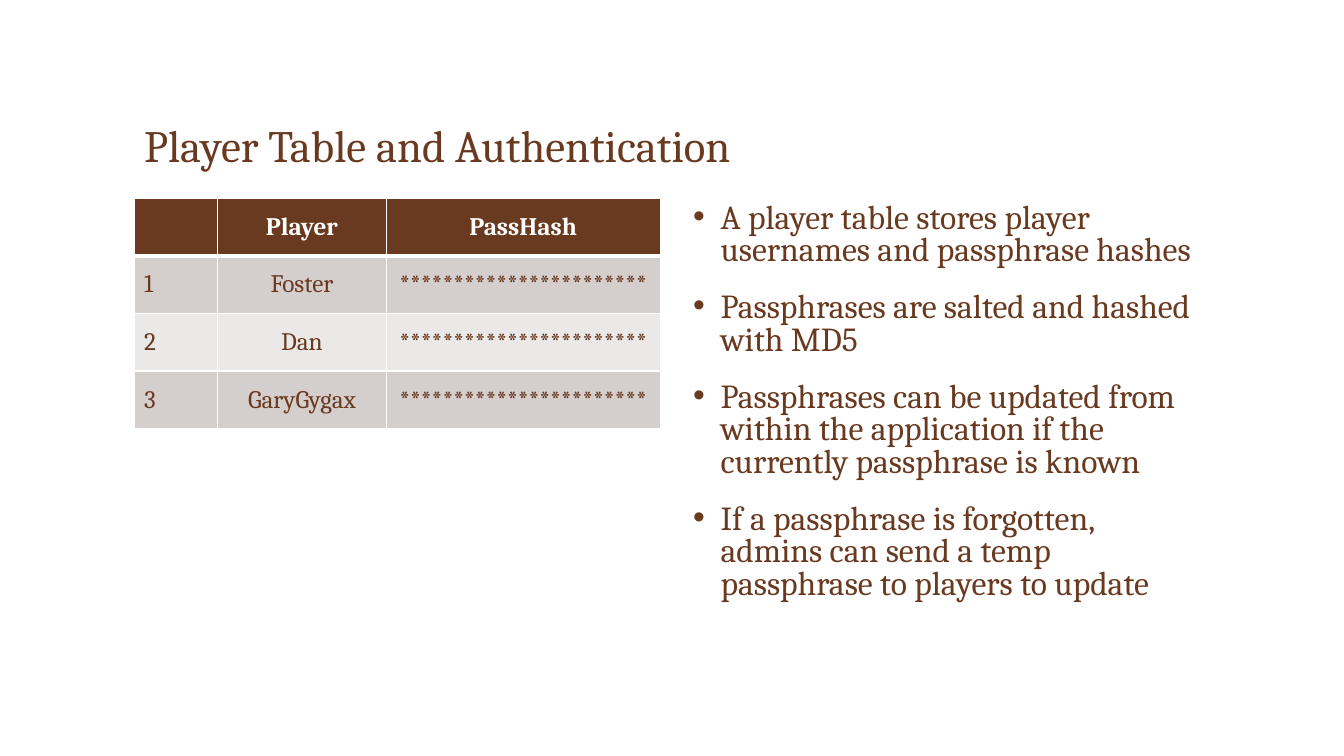
from dataclasses import dataclass
from typing import Any

import lxml.etree
import pptx
import pptx.dml.color
import pptx.enum.text
import pptx.oxml
import pptx.oxml.ns
import pptx.util

Cm, Pt = pptx.util.Cm, pptx.util.Pt
RGB = pptx.dml.color.RGBColor
ALIGN, ANCHOR = pptx.enum.text.PP_ALIGN, pptx.enum.text.MSO_ANCHOR
qn = pptx.oxml.ns.qn


@dataclass(frozen=True)
class Theme:
    font: str = "Cambria"
    brown: str = "6A3A20"
    white: str = "FFFFFF"
    bands: tuple[str, str] = ("D4CECD", "EBE8E8")
    title_size: int = 32
    body_size: int = 24
    table_size: int = 18


@dataclass(frozen=True)
class Box:
    left: float
    top: float
    width: float
    height: float

    def lengths(self) -> tuple[int, int, int, int]:
        return Cm(self.left), Cm(self.top), Cm(self.width), Cm(self.height)


@dataclass(frozen=True)
class Player:
    number: str
    name: str
    pass_hash: str = "*" * 23


THEME = Theme()
TITLE_BOX = Box(3.38, 1.19, 27.08, 3.25)
TABLE_BOX = Box(3.38, 5.0, 13.26, 5.8)
BULLET_BOX = Box(17.22, 5.0, 13.26, 11.86)
COLUMN_WIDTHS = (2.11, 4.24, 6.91)
HEADER = ("", "Player", "PassHash")
PLAYERS = (Player("1", "Foster"), Player("2", "Dan"), Player("3", "GaryGygax"))
BULLETS = (
    "A player table stores player usernames and passphrase hashes",
    "Passphrases are salted and hashed with MD5",
    "Passphrases can be updated from within the application if the currently passphrase is known",
    "If a passphrase is forgotten, admins can send a temp passphrase to players to update",
)


def format_runs(p: Any, size: int, color: str, bold: bool = False) -> None:
    for r in p.runs:
        r.font.name = THEME.font
        r.font.size = Pt(size)
        r.font.bold = bold
        r.font.color.rgb = RGB.from_string(color)


def add_title(s: Any, text: str) -> None:
    sp = s.shapes.title
    sp.left, sp.top, sp.width, sp.height = TITLE_BOX.lengths()
    tf = sp.text_frame
    tf.text = text
    tf.vertical_anchor = ANCHOR.BOTTOM
    p = tf.paragraphs[0]
    p.alignment = ALIGN.LEFT
    format_runs(p, THEME.title_size, THEME.brown)


def set_borders(cell: Any, bottom: int, top: int) -> None:
    tc_pr = cell._tc.get_or_add_tcPr()
    widths = {"lnL": 1, "lnR": 1, "lnT": top, "lnB": bottom}
    for i, (side, width) in enumerate(widths.items()):
        ln = lxml.etree.Element(qn(f"a:{side}"), w=str(Pt(width)))
        fill = lxml.etree.SubElement(ln, qn("a:solidFill"))
        lxml.etree.SubElement(fill, qn("a:srgbClr"), val=THEME.white)
        tc_pr.insert(i, ln)


def add_player_table(s: Any) -> None:
    rows = [HEADER] + [(x.number, x.name, x.pass_hash) for x in PLAYERS]
    table = s.shapes.add_table(len(rows), len(HEADER), *TABLE_BOX.lengths()).table
    for column, width in zip(table.columns, COLUMN_WIDTHS):
        column.width = Cm(width)
    for i, values in enumerate(rows):
        header = i == 0
        fill = THEME.brown if header else THEME.bands[(i - 1) % 2]
        for j, value in enumerate(values):
            cell = table.cell(i, j)
            cell.text = value
            cell.vertical_anchor = ANCHOR.MIDDLE
            cell.fill.solid()
            cell.fill.fore_color.rgb = RGB.from_string(fill)
            p = cell.text_frame.paragraphs[0]
            p.alignment = ALIGN.CENTER if j else ALIGN.LEFT
            format_runs(p, THEME.table_size, THEME.white if header else THEME.brown, header)
            set_borders(cell, bottom=3 if header else 1, top=3 if i == 1 else 1)


def add_bullet(p: Any) -> None:
    p_pr = p._p.get_or_add_pPr()
    indent = Cm(0.69)
    p_pr.set("marL", str(indent))
    p_pr.set("indent", str(-indent))
    color = lxml.etree.SubElement(p_pr, qn("a:buClr"))
    lxml.etree.SubElement(color, qn("a:srgbClr"), val=THEME.brown)
    lxml.etree.SubElement(p_pr, qn("a:buFont"), typeface="Arial")
    lxml.etree.SubElement(p_pr, qn("a:buChar"), char="•")


def add_bullets(s: Any) -> None:
    tf = s.shapes.add_textbox(*BULLET_BOX.lengths()).text_frame
    tf.word_wrap = True
    tf.text = "\n".join(BULLETS)
    for p in tf.paragraphs:
        p.line_spacing = 0.8
        p.space_before = Pt(18)
        add_bullet(p)
        format_runs(p, THEME.body_size, THEME.brown)


def main() -> None:
    prs = pptx.Presentation()
    prs.slide_width, prs.slide_height = Cm(33.87), Cm(19.05)
    s = prs.slides.add_slide(prs.slide_layouts[5])
    # Heading
    add_title(s, "Player Table and Authentication")
    # Left: stored players
    add_player_table(s)
    # Right: how passphrases are handled
    add_bullets(s)
    prs.save("out.pptx")


if __name__ == "__main__":
    main()
